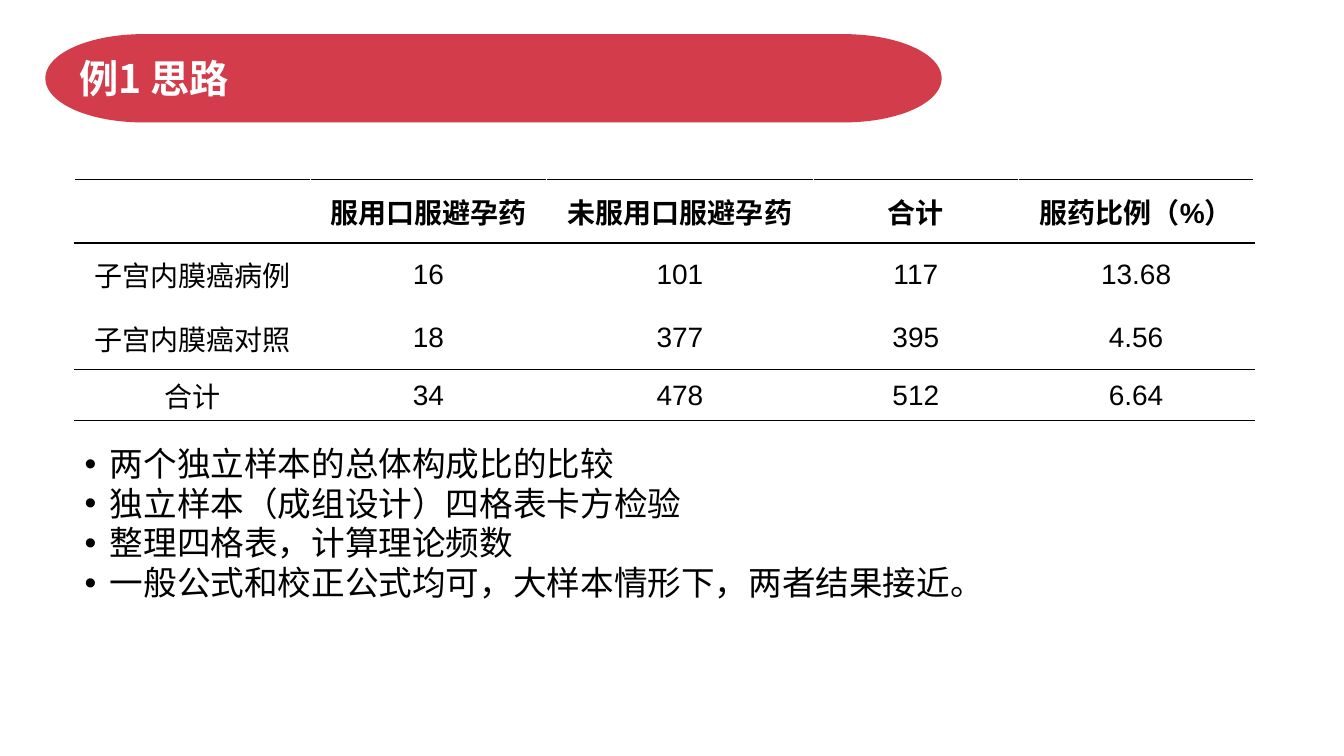
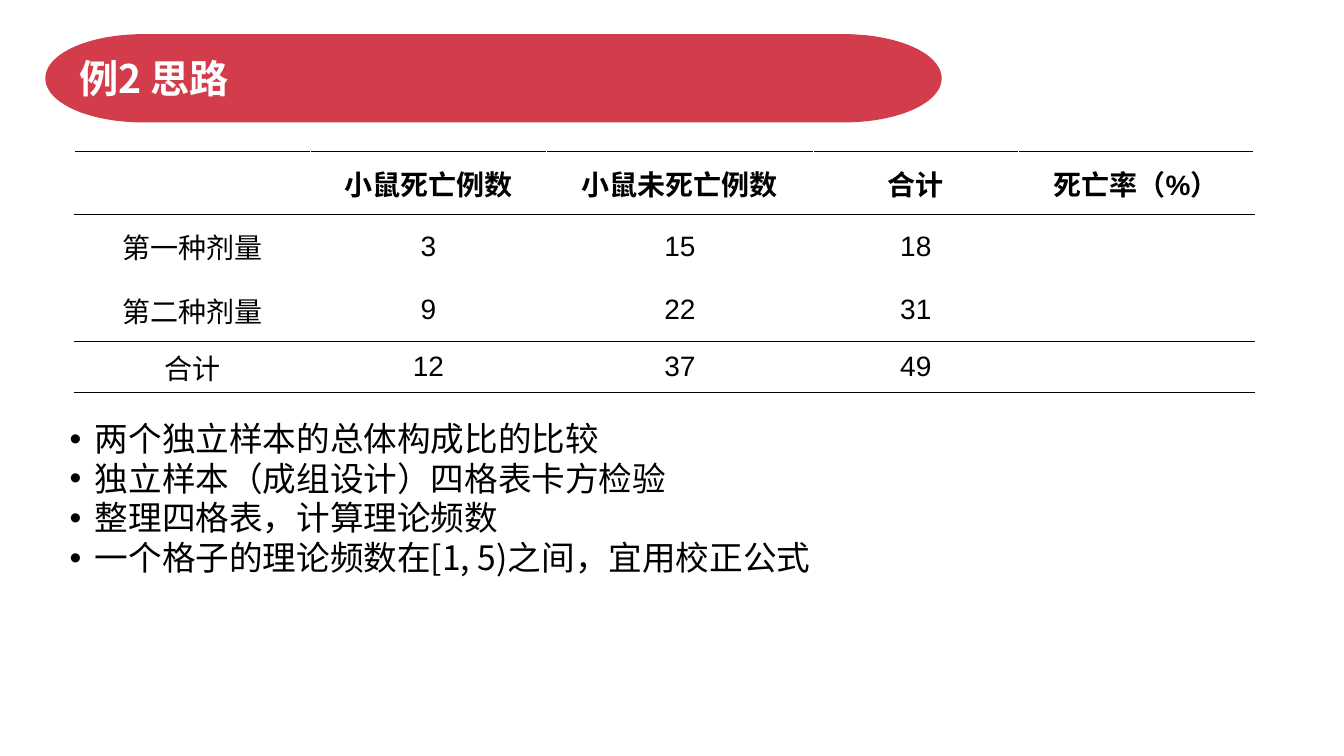
import dataclasses
import math

import lxml.etree
import pptx
import pptx.dml.color
import pptx.enum.text
import pptx.oxml.ns
import pptx.util

qn = pptx.oxml.ns.qn
ALIGN = pptx.enum.text.PP_ALIGN
ANCHOR = pptx.enum.text.MSO_ANCHOR


@dataclasses.dataclass(frozen=True)
class Theme:
    red: str = "D23C4B"
    black: str = "000000"
    white: str = "FFFFFF"
    title_size: int = 28
    list_size: int = 24
    table_size: int = 20
    chinese: str = "Noto Sans CJK SC"
    latin: str = "Arial"


class Lesson:
    BAND = (3.53, 4.8, 66.38, 11.13)
    BAND_CAP = 7.13
    TITLE = (5.18, 4.93, 62.85, 10.8)
    TABLE_LEFT = 5.55
    COLUMNS = (17.55, 17.55, 19.88, 15.23, 17.55)
    ROWS = (8.4, 8.4, 8.4, 4.67)
    LIST_WIDTH = 90

    def __init__(self, theme):
        self.theme = theme
        self.deck = pptx.Presentation()
        self.deck.slide_width = pptx.util.Inches(13.33)
        self.deck.slide_height = pptx.util.Inches(7.5)
        self.layout = self.deck.slide_layouts.get_by_name("Title and Content")
        self.page = None

    def across(self, share):
        return round(self.deck.slide_width * share / 100)

    def down(self, share):
        return round(self.deck.slide_height * share / 100)

    def place(self, shape, box):
        left, top, width, height = box
        shape.left, shape.top = self.across(left), self.down(top)
        shape.width, shape.height = self.across(width), self.down(height)

    def rgb(self, colour):
        return pptx.dml.color.RGBColor.from_string(colour)

    def style(self, para, size, colour, latin, bold=False):
        for span in para.runs:
            font = span.font
            font.size = pptx.util.Pt(size)
            font.bold = bold
            font.color.rgb = self.rgb(colour)
            font.name = latin
            east = lxml.etree.SubElement(font._element, qn("a:ea"))
            east.set("typeface", self.theme.chinese)

    def add_page(self, title):
        self.page = self.deck.slides.add_slide(self.layout)
        if len(self.deck.slides) == 1:
            self.add_band()
        box = self.page.shapes.title
        self.place(box, self.TITLE)
        frame = box.text_frame
        frame.text = title
        frame.auto_size = pptx.enum.text.MSO_AUTO_SIZE.NONE
        frame.vertical_anchor = ANCHOR.MIDDLE
        para = frame.paragraphs[0]
        para.alignment = ALIGN.LEFT
        self.style(para, self.theme.title_size, self.theme.white,
                   self.theme.chinese, bold=True)

    def add_band(self):
        left, top, width, height = self.BAND
        steps = 40
        points = []
        for centre, start in ((left + width - self.BAND_CAP, -90),
                              (left + self.BAND_CAP, 90)):
            for step in range(steps + 1):
                angle = math.radians(start + 180 * step / steps)
                x = centre + self.BAND_CAP * math.cos(angle)
                y = top + height / 2 * (1 + math.sin(angle))
                points.append((self.across(x), self.down(y)))
        builder = self.page.shapes.build_freeform(*points[0], scale=1.0)
        builder.add_line_segments(points[1:], close=True)
        band = builder.convert_to_shape()
        band.shadow.inherit = False
        band.fill.solid()
        band.fill.fore_color.rgb = self.rgb(self.theme.red)
        band.line.color.rgb = self.rgb(self.theme.red)
        band.line.width = pptx.util.Pt(3)
        band.element.xpath("./p:nvSpPr/p:cNvPr")[0].set("id", "99")
        self.layout.shapes.element.insert(2, band.element)

    def add_border(self, cell, side, colour):
        props = cell._tc.get_or_add_tcPr()
        line = lxml.etree.SubElement(props, qn(f"a:ln{side}"))
        line.set("w", str(pptx.util.Pt(1)))
        fill = lxml.etree.SubElement(line, qn("a:solidFill"))
        lxml.etree.SubElement(fill, qn("a:srgbClr")).set("val", colour)

    def add_table(self, top, rows):
        theme = self.theme
        table = self.page.shapes.add_table(
            len(self.ROWS), len(self.COLUMNS),
            self.across(self.TABLE_LEFT), self.down(top),
            self.across(sum(self.COLUMNS)), self.down(sum(self.ROWS))).table
        table.first_row = table.horz_banding = False
        for column, share in zip(table.columns, self.COLUMNS):
            column.width = self.across(share)
        rules = (theme.black, theme.black, theme.white, theme.black, theme.black)
        for index, texts in enumerate(rows):
            table.rows[index].height = self.down(self.ROWS[index])
            for cell, text in zip(table.rows[index].cells, texts):
                borders = {"L": theme.white, "R": theme.white,
                           "T": rules[index], "B": rules[index + 1]}
                for side, colour in borders.items():
                    self.add_border(cell, side, colour)
                cell.fill.background()
                cell.vertical_anchor = ANCHOR.MIDDLE
                cell.text_frame.text = text
                para = cell.text_frame.paragraphs[0]
                para.alignment = ALIGN.CENTER
                self.style(para, theme.table_size, theme.black, theme.latin,
                           bold=index == 0)

    def add_list(self, left, top, height, items):
        box = self.page.placeholders[1]
        self.place(box, (left, top, self.LIST_WIDTH, height))
        frame = box.text_frame
        frame.text = "\n".join(items)
        frame.auto_size = pptx.enum.text.MSO_AUTO_SIZE.NONE
        indent = pptx.util.Inches(0.25)
        for para in frame.paragraphs:
            para.line_spacing = 0.9
            para.space_before = pptx.util.Pt(2.4)
            props = para._p.get_or_add_pPr()
            props.set("marL", str(indent))
            props.set("indent", str(-indent))
            self.style(para, self.theme.list_size, self.theme.black,
                       self.theme.chinese)


def main():
    lesson = Lesson(Theme())
    shared_steps = ["两个独立样本的总体构成比的比较",
                    "独立样本（成组设计）四格表卡方检验",
                    "整理四格表，计算理论频数"]

    lesson.add_page("例1 思路")
    lesson.add_table(23.73, [
        ("", "服用口服避孕药", "未服用口服避孕药", "合计", "服药比例（%）"),
        ("子宫内膜癌病例", "16", "101", "117", "13.68"),
        ("子宫内膜癌对照", "18", "377", "395", "4.56"),
        ("合计", "34", "478", "512", "6.64"),
    ])
    lesson.add_list(5.55, 58.53, 35.07, shared_steps + [
        "一般公式和校正公式均可，大样本情形下，两者结果接近。"])

    lesson.add_page("例2 思路")
    lesson.add_table(20, [
        ("", "小鼠死亡例数", "小鼠未死亡例数", "合计", "死亡率（%）"),
        ("第一种剂量", "3", "15", "18", ""),
        ("第二种剂量", "9", "22", "31", ""),
        ("合计", "12", "37", "49", ""),
    ])
    lesson.add_list(4.43, 55.2, 39.87, shared_steps + [
        "一个格子的理论频数在[1, 5)之间，宜用校正公式"])

    lesson.deck.save("out.pptx")


if __name__ == "__main__":
    main()
